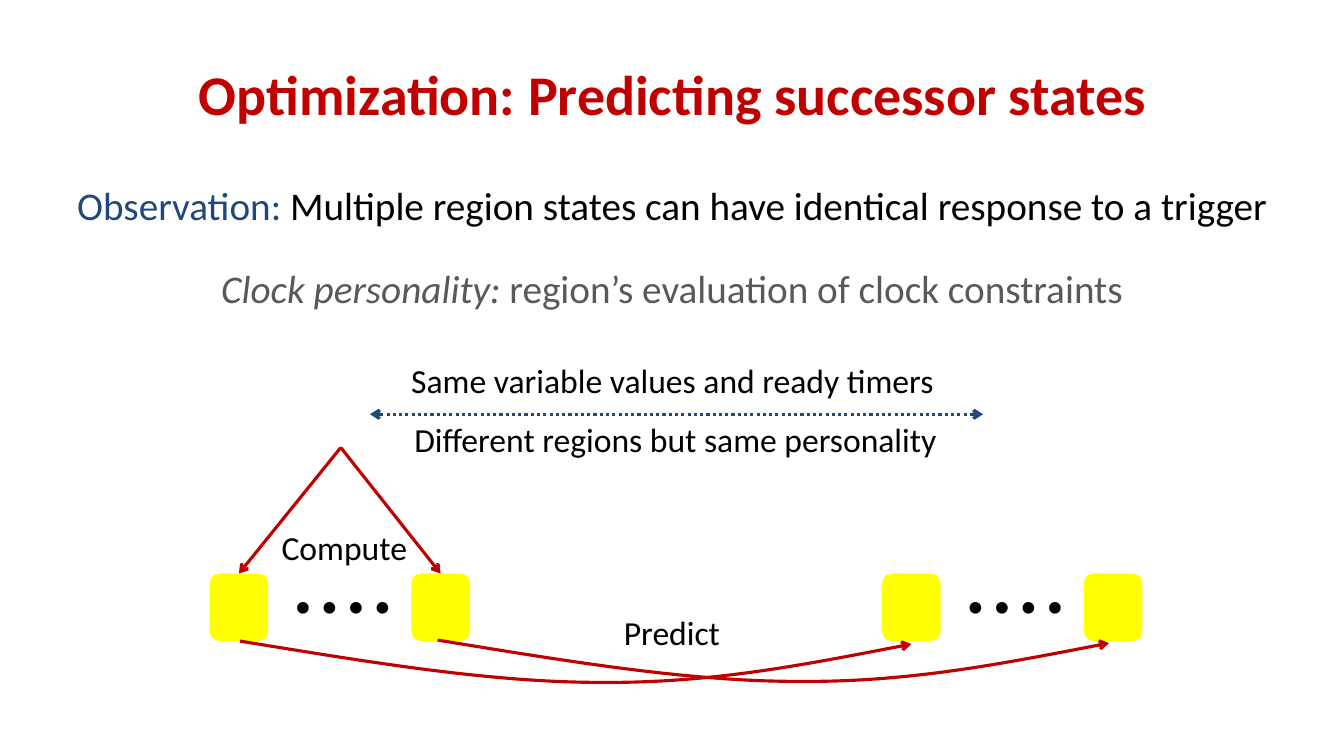
from dataclasses import dataclass
from typing import NamedTuple

from lxml import etree
from pptx import Presentation
from pptx.dml.color import RGBColor
from pptx.enum.dml import MSO_LINE
from pptx.enum.shapes import MSO_CONNECTOR, MSO_SHAPE
from pptx.enum.text import MSO_ANCHOR, MSO_AUTO_SIZE, PP_ALIGN
from pptx.oxml.ns import qn
from pptx.util import Inches, Pt

STRAIGHT = MSO_CONNECTOR.STRAIGHT
ROUNDED = MSO_SHAPE.ROUNDED_RECTANGLE
DOTTED = MSO_LINE.ROUND_DOT
LEFT, CENTER = PP_ALIGN.LEFT, PP_ALIGN.CENTER
TOP, MIDDLE = MSO_ANCHOR.TOP, MSO_ANCHOR.MIDDLE
FIT_SHAPE, FIT_NONE = MSO_AUTO_SIZE.SHAPE_TO_FIT_TEXT, MSO_AUTO_SIZE.NONE
TOP_SIDE = 0


@dataclass(frozen=True)
class Theme:
    font: str = "Calibri"
    red: RGBColor = RGBColor(0xC0, 0x00, 0x00)
    blue: RGBColor = RGBColor(0x1F, 0x49, 0x7D)
    gray: RGBColor = RGBColor(0x59, 0x59, 0x59)
    black: RGBColor = RGBColor(0x00, 0x00, 0x00)
    yellow: RGBColor = RGBColor(0xFF, 0xFF, 0x00)
    title: int = 40
    body: int = 28
    label: int = 24
    dots: int = 18
    line: float = 2.25


THEME = Theme()


class Span(NamedTuple):
    text: str
    color: RGBColor = THEME.black
    italic: bool = False
    bold: bool = False


class Box(NamedTuple):
    left: float
    top: float
    width: float
    height: float


class Label(NamedTuple):
    text: str
    box: Box


class Point(NamedTuple):
    x: float
    y: float


TITLE = Span("Optimization: Predicting successor states", THEME.red, bold=True)
STATEMENTS = [
    [Span("Observation: ", THEME.blue),
     Span("Multiple region states can have identical response to a trigger")],
    [Span("Clock personality:", THEME.gray, italic=True),
     Span(" region’s evaluation of clock constraints", THEME.gray)],
]
LABELS = [
    Label("Same variable values and ready timers", Box(3.63, 3.52, 6.08, 0.5)),
    Label("Different regions but same personality", Box(3.67, 4.11, 6.06, 0.5)),
    Label("Compute", Box(2.58, 5.18, 1.67, 0.5)),
    Label("Predict", Box(5.83, 6.02, 1.67, 0.5)),
]
GROUP_LEFTS = (2.08, 8.75)
STATE_PITCH = 2.0
STATE_TOP, STATE_WIDTH, STATE_HEIGHT = 5.69, 0.58, 0.67
APEX = Point(3.38, 4.44)
PREDICTION_STARTS = (Point(2.38, 6.36), Point(4.34, 6.35))
# Offsets of the two Bézier segments from the start of a prediction arrow
PREDICTION_CURVE = [Point(1.23, 0.2), Point(2.46, 0.41), Point(3.57, 0.41),
                    Point(4.68, 0.42), Point(5.67, 0.22), Point(6.66, 0.03)]


def add_text(slide, paragraphs: list[list[Span]], box: Box, *, size: float,
             align=CENTER, anchor=TOP, fit=FIT_SHAPE, gap: float = 0,
             tracking: float = 0):
    """Add a wrapped text box; gap and tracking are in points."""
    frame = slide.shapes.add_textbox(*map(Inches, box)).text_frame
    frame.word_wrap = True
    frame.auto_size = fit
    frame.vertical_anchor = anchor
    for index, spans in enumerate(paragraphs):
        paragraph = frame.add_paragraph() if index else frame.paragraphs[0]
        paragraph.alignment = align
        if index:
            paragraph.space_before = Pt(gap)
        for span in spans:
            run = paragraph.add_run()
            run.text = span.text
            run.font.name = THEME.font
            run.font.size = Pt(size)
            run.font.color.rgb = span.color
            run.font.italic = span.italic
            run.font.bold = span.bold
            if tracking:
                run._r.get_or_add_rPr().set("spc", str(round(tracking * 100)))


def style_line(line, color: RGBColor, *, both_ends: bool = False, dash=None) -> None:
    line.color.rgb = color
    line.width = Pt(THEME.line)
    if dash is not None:
        line.dash_style = dash
    for end in ("headEnd", "tailEnd") if both_ends else ("tailEnd",):
        etree.SubElement(line._get_or_add_ln(), qn(f"a:{end}"), type="arrow")


def add_arrow(slide, start: Point, end: Point, color: RGBColor, **line_format):
    arrow = slide.shapes.add_connector(STRAIGHT, *map(Inches, (*start, *end)))
    style_line(arrow.line, color, **line_format)
    etree.SubElement(arrow._element.spPr, qn("a:effectLst"))
    return arrow


def add_state(slide, left: float):
    state = slide.shapes.add_shape(
        ROUNDED, *map(Inches, (left, STATE_TOP, STATE_WIDTH, STATE_HEIGHT)))
    state.shadow.inherit = False
    state.fill.solid()
    state.fill.fore_color.rgb = THEME.yellow
    state.line.fill.background()
    return state


def add_prediction(slide, start: Point) -> None:
    """Draw the control polygon, then turn each three points into a cubic curve."""
    builder = slide.shapes.build_freeform(Inches(start.x), Inches(start.y))
    builder.add_line_segments(
        [(Inches(start.x + dx), Inches(start.y + dy)) for dx, dy in PREDICTION_CURVE],
        close=False)
    curve = builder.convert_to_shape()
    segments = list(curve._element.iter(qn("a:lnTo")))
    outline = segments[0].getparent()
    for first in range(0, len(segments), 3):
        cubic = etree.SubElement(outline, qn("a:cubicBezTo"))
        for segment in segments[first:first + 3]:
            cubic.append(segment[0])
            outline.remove(segment)
    curve.shadow.inherit = False
    curve.fill.background()
    style_line(curve.line, THEME.red)


def main() -> None:
    deck = Presentation()
    deck.slide_width, deck.slide_height = Inches(13.33), Inches(7.5)
    slide = deck.slides.add_slide(deck.slide_layouts[6])

    add_text(slide, [[TITLE]], Box(0.67, 0.3, 12, 1.25), size=THEME.title,
             anchor=MIDDLE, fit=FIT_NONE)
    add_text(slide, STATEMENTS, Box(0, 1.75, 13.33, 4.95), size=THEME.body,
             fit=FIT_NONE, gap=25.5)
    add_arrow(slide, Point(3.67, 4.11), Point(9.75, 4.11), THEME.blue,
              both_ends=True, dash=DOTTED)

    for group, group_left in enumerate(GROUP_LEFTS):
        for position in range(2):
            left = group_left + position * STATE_PITCH
            state = add_state(slide, left)
            if group == 0:
                top_middle = Point(left + STATE_WIDTH / 2, STATE_TOP)
                arrow = add_arrow(slide, APEX, top_middle, THEME.red)
                arrow.end_connect(state, TOP_SIDE)
        add_text(slide, [[Span("● ● ● ●")]], Box(group_left + 0.75, 5.81, 1.25, 0.42),
                 size=THEME.dots, align=LEFT, tracking=2)

    for start in PREDICTION_STARTS:
        add_prediction(slide, start)
    for label in LABELS:
        add_text(slide, [[Span(label.text)]], label.box, size=THEME.label)

    deck.save("out.pptx")


if __name__ == "__main__":
    main()
